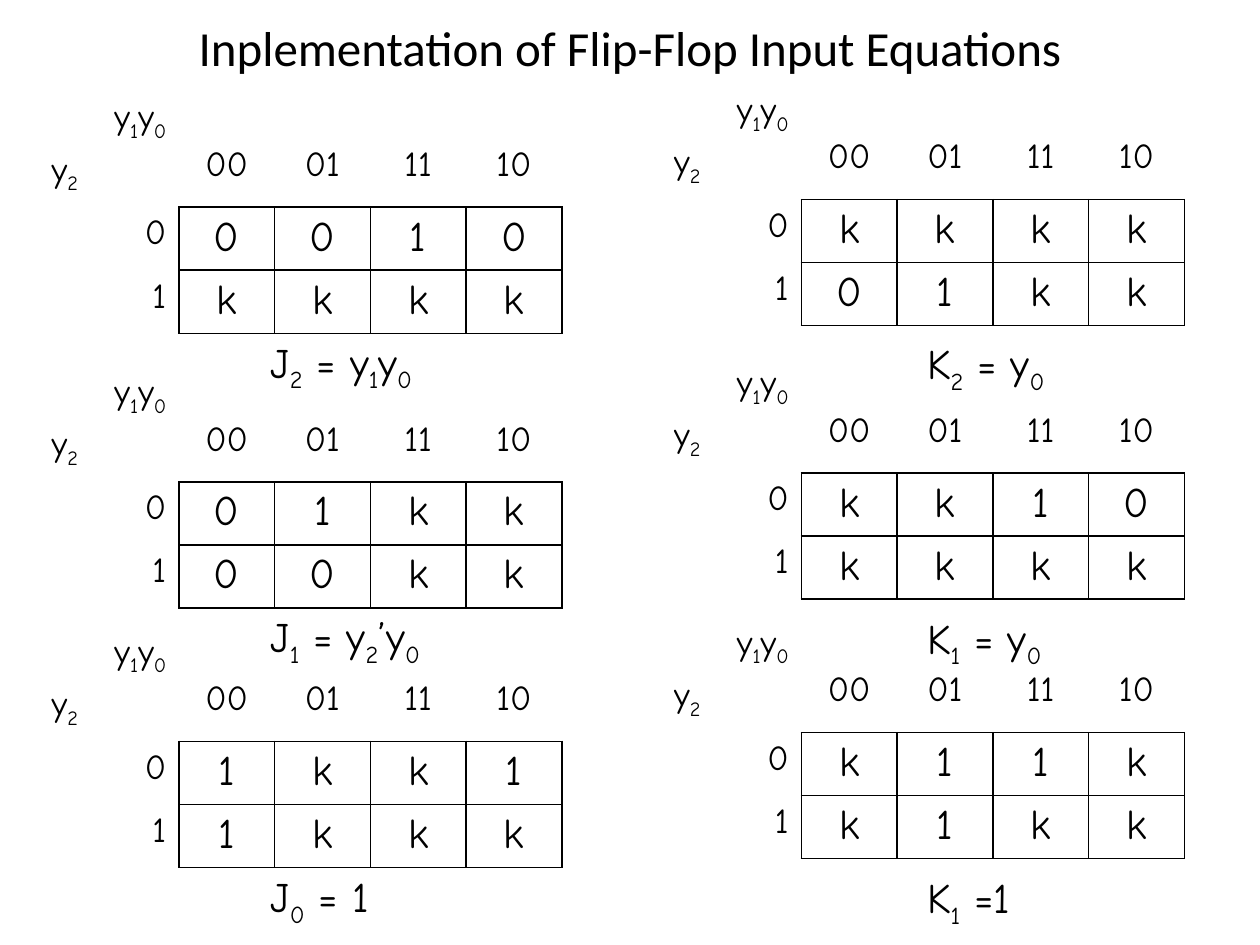
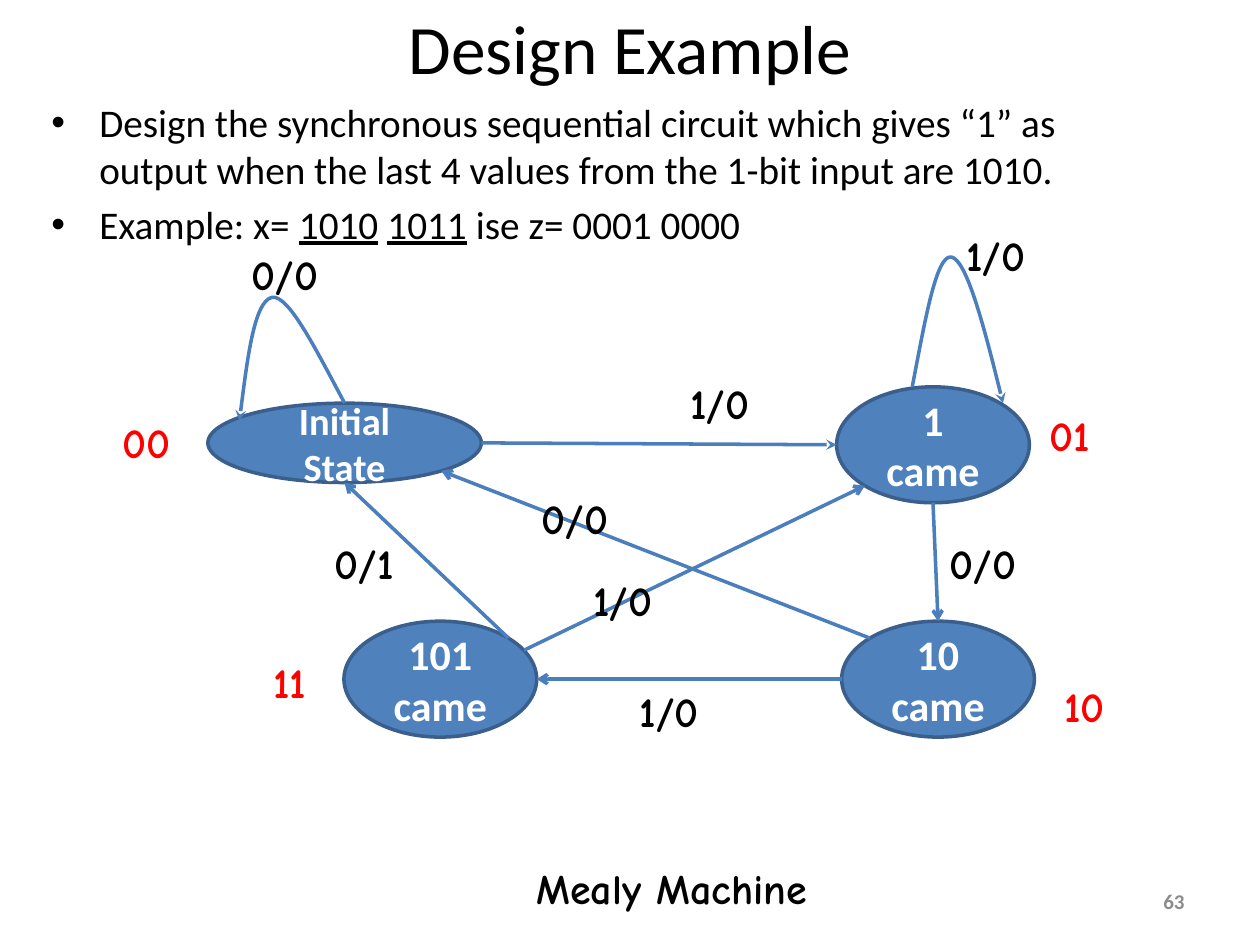
import dataclasses
import math

import lxml.etree
import pptx
import pptx.dml.color
import pptx.enum.shapes
import pptx.enum.text
import pptx.oxml.ns
import pptx.util

ALIGN = pptx.enum.text.PP_ALIGN
ANCHOR = pptx.enum.text.MSO_ANCHOR
SHAPES = pptx.enum.shapes
qn = pptx.oxml.ns.qn

# One grid cell is a tenth of an inch in both directions.
COLUMNS, ROWS = 100, 75
NO_STYLE_TABLE = "{2D5ABB26-0587-4C30-8999-92F81FD0307C}"
COMPASS = {"right": 0, "bottom right": 45, "bottom": 90, "bottom left": 135,
           "left": 180, "top left": 225, "top": 270, "top right": 315}


@dataclasses.dataclass
class Theme:
    heading_font: str = "Calibri"
    hand_font: str = "Comic Neue"
    ink: str = "000000"
    code: str = "FF0000"
    page_number: str = "8C8C8C"
    state: str = "4F81BD"
    state_edge: str = "3A5F8C"
    state_text: str = "FFFFFF"
    arrow: str = "4B7EBC"
    title_size: float = 39.6
    long_title_size: float = 28
    body_size: float = 22.4
    label_size: float = 24
    long_state_size: float = 22
    axis_size: float = 20
    number_size: float = 12
    stroke: float = 2
    border: float = 1


def rgb(value):
    return pptx.dml.color.RGBColor.from_string(value)


def child(parent, tag, **attributes):
    return lxml.etree.SubElement(parent, qn(tag), attributes)


def site(state, side):
    """Return the grid point of a state's ellipse in a compass direction."""
    left, top, width, height = state
    angle = math.radians(COMPASS[side])
    return (left + width / 2 * (1 + math.cos(angle)),
            top + height / 2 * (1 + math.sin(angle)))


def add_spans(para, text):
    """Add runs: _ lowers the next character, | starts and ends underlining."""
    for number, part in enumerate(text.split("|")):
        plain, *lowered = part.split("_")
        pieces = [(plain, False)]
        for piece in lowered:
            pieces += [(piece[0], True), (piece[1:], False)]
        for content, is_lowered in pieces:
            if not content:
                continue
            span = para.add_run()
            span.text = content
            if is_lowered:
                span._r.get_or_add_rPr().set("baseline", "-25000")
            if number % 2:
                span.font.underline = True


class Painter:
    """Holds the deck, its theme and the current slide."""

    def __init__(self, deck, theme):
        self.deck = deck
        self.theme = theme
        self.page = None

    def new_page(self):
        self.page = self.deck.slides.add_slide(self.deck.slide_layouts[6])

    def across(self, columns):
        return round(self.deck.slide_width * columns / COLUMNS)

    def down(self, rows):
        return round(self.deck.slide_height * rows / ROWS)

    def place(self, at):
        left, top, width, height = at
        return self.across(left), self.down(top), self.across(width), self.down(height)

    def fill_text(self, frame, lines, size, font=None, color=None, bold=False,
                  align=ALIGN.LEFT, bullet=False):
        for number, line in enumerate(lines):
            para = frame.add_paragraph() if number else frame.paragraphs[0]
            para.alignment = align
            if number:
                para.space_before = pptx.util.Pt(round(size * 0.2, 1))
            if bullet:
                properties = para._p.get_or_add_pPr()
                properties.set("marL", str(self.across(3.8)))
                properties.set("indent", str(-self.across(3.8)))
                child(properties, "a:buFont", typeface="Arial")
                child(properties, "a:buChar", char="•")
            para.font.name = font or self.theme.hand_font
            para.font.size = pptx.util.Pt(size)
            para.font.bold = bold
            para.font.color.rgb = rgb(color or self.theme.ink)
            add_spans(para, line)

    def text_block(self, at, lines, size, anchor=ANCHOR.TOP, **style):
        """Wrapped text in the heading font."""
        frame = self.page.shapes.add_textbox(*self.place(at)).text_frame
        frame.word_wrap = True
        frame.vertical_anchor = anchor
        self.fill_text(frame, lines, size, self.theme.heading_font, **style)

    def title(self, text, size):
        self.text_block((5, 0.1, 90, 7.3), [text], size, ANCHOR.MIDDLE, align=ALIGN.CENTER)

    def label(self, left, top, width, text, **style):
        """One unwrapped handwritten line."""
        box = self.page.shapes.add_textbox(*self.place((left, top, width, 5)))
        frame = box.text_frame
        frame.word_wrap = False
        frame.auto_size = pptx.enum.text.MSO_AUTO_SIZE.SHAPE_TO_FIT_TEXT
        self.fill_text(frame, [text], self.theme.label_size, **style)

    def set_borders(self, cell, visible):
        properties = cell._tc.get_or_add_tcPr()
        for side in "LRTB":
            width = pptx.util.Pt(self.theme.border)
            line = child(properties, f"a:ln{side}", w=str(width))
            if side in visible:
                child(child(line, "a:solidFill"), "a:srgbClr", val=self.theme.ink)
            else:
                child(line, "a:noFill")

    def karnaugh_map(self, left, top, values, head=9.1, body=5):
        theme = self.theme
        rows = [["", "00", "01", "11", "10"], ["0", *values[0]], ["1", *values[1]]]
        at = self.place((left, top, 41.5, head + 2 * body))
        table = self.page.shapes.add_table(3, 5, *at).table
        properties = table._tbl.tblPr
        properties.find(qn("a:tableStyleId")).text = NO_STYLE_TABLE
        table.first_row = table.horz_banding = False
        for number, column in enumerate(table.columns):
            column.width = self.across(7.6 if number else 11.1)
        for number, row in enumerate(table.rows):
            row.height = self.down(body if number else head)
        for r, row in enumerate(rows):
            for c, text in enumerate(row):
                cell = table.cell(r, c)
                is_value = r > 0 and c > 0
                self.set_borders(cell, "LRTB" if is_value else "B" if c else "R" if r else "")
                cell.fill.background()
                if r == c == 0:
                    self.fill_text(cell.text_frame, ["y_1y_0", "y_2"], theme.axis_size)
                    cell.text_frame.paragraphs[0].alignment = ALIGN.RIGHT
                    continue
                if r == 0:
                    cell.margin_top = self.down(4.2)
                self.fill_text(cell.text_frame, [text],
                               theme.label_size if is_value else theme.axis_size,
                               align=ALIGN.CENTER if c else ALIGN.RIGHT)

    def state(self, at, text, size):
        theme = self.theme
        oval = self.page.shapes.add_shape(SHAPES.MSO_SHAPE.OVAL, *self.place(at))
        oval.shadow.inherit = False
        oval.fill.solid()
        oval.fill.fore_color.rgb = rgb(theme.state)
        oval.line.color.rgb = rgb(theme.state_edge)
        oval.line.width = pptx.util.Pt(theme.stroke)
        oval.text_frame.word_wrap = True
        oval.text_frame.vertical_anchor = ANCHOR.MIDDLE
        self.fill_text(oval.text_frame, [text], size, theme.heading_font,
                       theme.state_text, True, ALIGN.CENTER)

    def style_arrow(self, shape, head):
        shape.line.color.rgb = rgb(self.theme.arrow)
        shape.line.width = pptx.util.Pt(self.theme.stroke)
        properties = shape._element.spPr
        child(properties.find(qn("a:ln")), "a:tailEnd", type=head)
        child(properties, "a:effectLst")

    def arrow(self, start, end, head="arrow"):
        line = self.page.shapes.add_connector(
            SHAPES.MSO_CONNECTOR.STRAIGHT, self.across(start[0]), self.down(start[1]),
            self.across(end[0]), self.down(end[1]))
        self.style_arrow(line, head)

    def loop(self, points):
        """Draw an arrow through cubic curves: a start, then three points a curve."""
        start, *rest = [(self.across(x), self.down(y)) for x, y in points]
        builder = self.page.shapes.build_freeform(*start, scale=1.0)
        builder.add_line_segments(rest, close=False)
        shape = builder.convert_to_shape()
        outline = next(shape._element.iter(qn("a:path")))
        segments = outline.findall(qn("a:lnTo"))
        for first in range(0, len(segments), 3):
            curve = child(outline, "a:cubicBezTo")
            for segment in segments[first:first + 3]:
                curve.append(segment[0])
                outline.remove(segment)
        shape.fill.background()
        self.style_arrow(shape, "stealth")


def draw_input_equations(painter):
    painter.new_page()
    painter.title("Inplementation of Flip-Flop Input Equations",
                  painter.theme.long_title_size)
    painter.karnaugh_map(3.1, 7.3, ("0010", "kkkk"), head=8.7, body=4.86)
    for left, top, values in [
            (52.5, 6.7, ("kkkk", "01kk")),
            (3.1, 29.1, ("01kk", "00kk")), (52.5, 28.4, ("kk10", "kkkk")),
            (3.1, 49.7, ("1kk1", "1kkk")), (52.5, 49, ("k11k", "k1kk"))]:
        painter.karnaugh_map(left, top, values)
    for top, j_width, j_text, k_width, k_text in [
            (26.2, 15.2, "J_2 = y_1y_0", 12.3, "K_2 = y_0"),
            (48, 15.9, "J_1 = y_2’y_0", 11.9, "K_1 = y_0"),
            (68.6, 10.9, "J_0 = 1", 9.3, "K_1 =1")]:
        painter.label(20.5, top, j_width, j_text)
        painter.label(72.6, top + 0.1, k_width, k_text)


def draw_design_example(painter):
    theme = painter.theme
    painter.new_page()
    painter.title("Design Example", theme.title_size)
    painter.text_block((3.1, 7.3, 90, 12), [
        "Design the synchronous sequential circuit which gives “1” as output "
        "when the last 4 values from the 1-bit input are 1010.",
        "Example: x= |1010| |1011| ise z= 0001 0000"], theme.body_size, bullet=True)
    painter.text_block((71.7, 69.5, 23.3, 4), ["63"], theme.number_size, ANCHOR.MIDDLE,
                       color=theme.page_number, bold=True, align=ALIGN.RIGHT)

    initial = (16.5, 32, 21.7, 6.3)
    came_1 = (66.4, 30.7, 15.3, 9.2)
    came_10 = (66.8, 49.3, 15.3, 9.2)
    came_101 = (27.3, 49.3, 15.3, 9.2)
    painter.state(initial, "Initial State", theme.long_state_size)
    for at, text in [(came_1, "1 came"), (came_10, "10 came"), (came_101, "101 came")]:
        painter.state(at, text, theme.label_size)

    painter.loop([site(initial, "top"), (25, 27.6), (22.9, 23.4), (21.6, 23.6),
                  (20.2, 23.9), (19.6, 28.7), (19, 33.4)])
    painter.loop([(72.4, 30.7), (73.4, 25.5), (74.3, 20.2), (75.5, 20.4),
                  (76.7, 20.6), (78.2, 26.3), (79.6, 32)])
    painter.arrow(site(initial, "right"), site(came_1, "left"), "stealth")
    painter.arrow(site(came_1, "bottom"), site(came_10, "top"))
    painter.arrow(site(came_10, "left"), site(came_101, "right"))
    painter.arrow(site(came_10, "top left"), site(initial, "bottom right"))
    painter.arrow(site(came_101, "top right"), site(initial, "bottom"))
    painter.arrow((41.6, 51.6), site(came_1, "bottom left"))

    for left, top, text in [
            (19, 19.2, "0/0"), (75.7, 17.7, "1/0"), (53.8, 29.5, "1/0"),
            (74.4, 42.2, "0/0"), (49.8, 53.9, "1/0"), (42, 38.6, "0/0"),
            (25.6, 42.2, "0/1"), (46.1, 45.1, "1/0")]:
        painter.label(left, top, 7.8, text, bold=True)
    for left, top, text in [(8.7, 32.6, "00"), (82.3, 32, "01"),
                            (83.5, 53.5, "10"), (20.7, 51.6, "11")]:
        painter.label(left, top, 6.1, text, bold=True, color=theme.code)
    painter.label(41.6, 68, 27, "Mealy Machine", bold=True)


def main():
    deck = pptx.Presentation()
    deck.slide_width = pptx.util.Inches(10)
    deck.slide_height = pptx.util.Inches(7.5)
    painter = Painter(deck, Theme())
    draw_input_equations(painter)
    draw_design_example(painter)
    deck.save("out.pptx")


if __name__ == "__main__":
    main()
